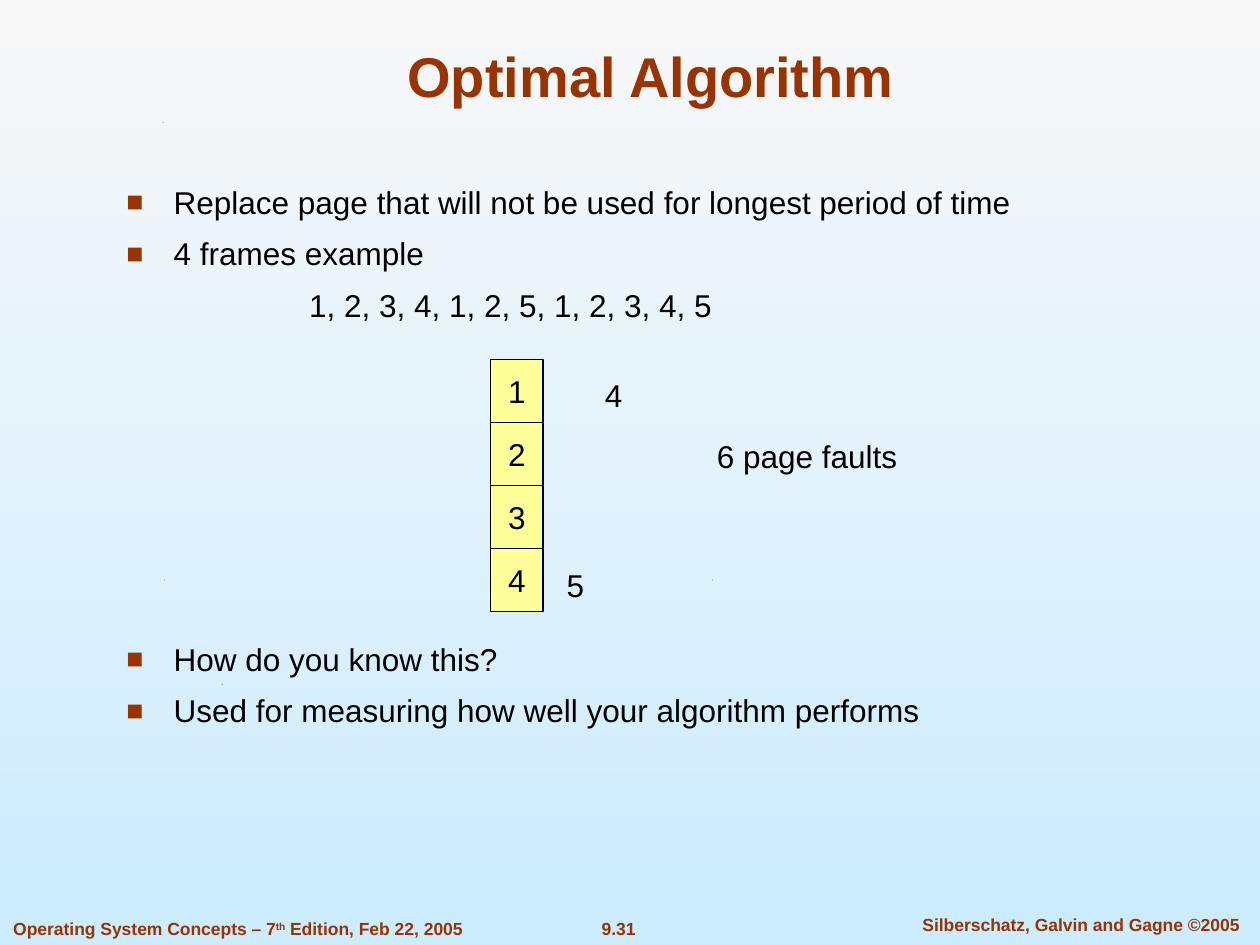
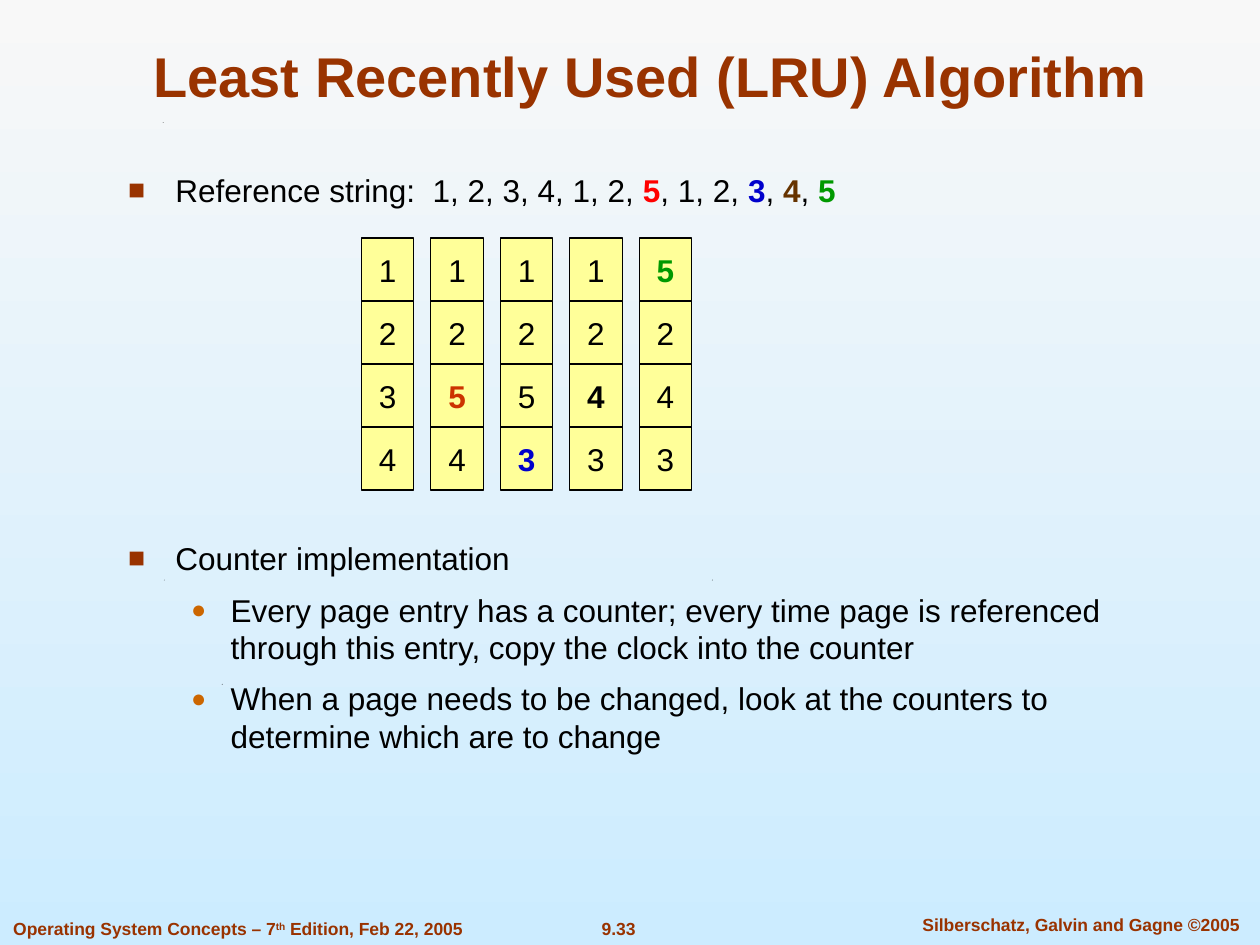
import pptx
import pptx.util
import pptx.dml.color
import pptx.enum.shapes
import pptx.enum.text
import pptx.oxml.ns
import lxml.etree

Pt = pptx.util.Pt
ALIGN = pptx.enum.text.PP_ALIGN
ANCHOR = pptx.enum.text.MSO_ANCHOR

# Shared style
FONT = "Arial"
RUST, BLACK, CELL_FILL = "993300", "000000", "FFFF99"
SKY_TOP, SKY_BOTTOM = "F8F8F8", "CCECFF"
BODY_SIZE, LINE_PITCH, PARA_GAP = 18, 21.4, 8
CELL_W, CELL_H, STACK_PITCH = 30, 36, 39.7
SPECKS = [(126.7, 390.8), (93.6, 331.2), (406.8, 331.2), (92.9, 69.8)]

# Paragraph kinds: left margin, first-line indent, bullet (character, colour, size %)
KINDS = {
    "point": (27, -27, ("■", RUST, 90)),
    "subpoint": (58.5, -22.5, ("●", "CC6600", 80)),
    "sequence": (104.4, 0, None),
}

# Content: a run is a string or (text, colour, bold)
FOOTER_LEFT = ["Operating System Concepts – 7", "th", " Edition, Feb 22, 2005"]
FOOTER_RIGHT = "Silberschatz, Galvin and Gagne ©2005"

SLIDES = [
    {
        "title": "Optimal Algorithm",
        "number": "9.31",
        "body_at": (65.2, 101.2),
        # kind, space before, runs
        "body": [
            ("point", 0, ["Replace page that will not be used for longest period of time"]),
            ("point", PARA_GAP, ["4 frames example"]),
            ("sequence", PARA_GAP, ["1, 2, 3, 4, 1, 2, 5, 1, 2, 3, 4, 5"]),
            ("point", 181, ["How do you know this?"]),
            ("point", PARA_GAP, ["Used for measuring how well your algorithm performs"]),
        ],
        "stacks_at": (280.4, 205.4),
        "stacks": [["1", "2", "3", "4"]],
        # text, left, top, width
        "notes": [
            ("4", 338.4, 211.2, 24.5),
            ("6 page faults", 402.5, 246.2, 117.4),
            ("5", 316.5, 319.7, 24.5),
        ],
    },
    {
        "title": "Least Recently Used (LRU) Algorithm",
        "number": "9.33",
        "body_at": (66.2, 94.3),
        "body": [
            ("point", 0, ["Reference string:  1, 2, 3, 4, 1, 2, ", ("5", "FF0000", True),
                          ", 1, 2, ", ("3", "0000CC", True), ", ",
                          ("4", "663300", True), ", ", ("5", "009900", True)]),
            ("point", 189, ["Counter implementation"]),
            ("subpoint", PARA_GAP, ["Every page entry has a counter; every time page is referenced "
                                    "through this entry, copy the clock into the counter"]),
            ("subpoint", PARA_GAP, ["When a page needs to be changed, look at the counters to "
                                    "determine which are to change"]),
        ],
        "stacks_at": (206.5, 136),
        "stacks": [
            ["1", "2", "3", "4"],
            ["1", "2", ("5", "CC3300", True), "4"],
            ["1", "2", "5", ("3", "0000CC", True)],
            ["1", "2", ("4", BLACK, True), "3"],
            [("5", "009900", True), "2", "4", "3"],
        ],
        "notes": [],
    },
]


def rgb(value):
    return pptx.dml.color.RGBColor.from_string(value)


def add_run(p, item, size=BODY_SIZE, color=BLACK, bold=False):
    if isinstance(item, tuple):
        item, color, bold = item
    r = p.add_run()
    r.text = item
    r.font.name, r.font.size, r.font.bold = FONT, Pt(size), bold
    r.font.color.rgb = rgb(color)
    return r


def add_text(s, left, top, width, height, runs=(), align=None,
             anchor=ANCHOR.TOP, wrap=True, **style):
    tf = s.shapes.add_textbox(Pt(left), Pt(top), Pt(width), Pt(height)).text_frame
    tf.word_wrap, tf.vertical_anchor = wrap, anchor
    tf.paragraphs[0].alignment = align
    for item in runs:
        add_run(tf.paragraphs[0], item, **style)
    return tf


def format_paragraph(p, kind, space_before):
    margin, indent, bullet = KINDS[kind]
    pPr = p._p.get_or_add_pPr()
    pPr.set("marL", str(Pt(margin)))
    pPr.set("indent", str(Pt(indent)))
    if bullet:
        char, color, percent = bullet
        qn = pptx.oxml.ns.qn
        color_el = lxml.etree.SubElement(pPr, qn("a:buClr"))
        lxml.etree.SubElement(color_el, qn("a:srgbClr"), val=color)
        lxml.etree.SubElement(pPr, qn("a:buSzPct"), val=str(percent * 1000))
        lxml.etree.SubElement(pPr, qn("a:buFont"), typeface=FONT)
        lxml.etree.SubElement(pPr, qn("a:buChar"), char=char)
    p.line_spacing = Pt(LINE_PITCH)
    p.space_before = Pt(space_before)


def add_frame(s, title, number):
    # Background gradient
    fill = s.background.fill
    fill.gradient()
    fill.gradient_angle = 270
    for stop, color in zip(fill.gradient_stops, (SKY_TOP, SKY_BOTTOM)):
        stop.color.rgb = rgb(color)

    # Small specks
    for x, y in SPECKS:
        builder = s.shapes.build_freeform(Pt(x), Pt(y + 0.5))
        builder.add_line_segments([(Pt(x + 0.6), Pt(y)), (Pt(x + 0.3), Pt(y + 0.5))])
        sp = builder.convert_to_shape()
        sp.shadow.inherit = False
        sp.fill.solid()
        sp.fill.fore_color.rgb = rgb(BLACK)
        sp.line.fill.background()

    # Footers and title
    small = dict(size=10, color=RUST, bold=True)
    tf = add_text(s, 0.5, 521, 310, 19, FOOTER_LEFT, **small)
    tf.paragraphs[0].runs[1]._r.get_or_add_rPr().set("baseline", "30000")
    add_text(s, 318.2, 521, 70.6, 19, [number], ALIGN.CENTER, **small)
    add_text(s, 510.8, 518.8, 213.8, 19, [FOOTER_RIGHT], ALIGN.CENTER, **small)
    add_text(s, 54, 17.6, 635.8, 48.2, [title], ALIGN.CENTER, ANCHOR.BOTTOM,
             size=32, color=RUST, bold=True)


def add_body(s, left, top, paragraphs):
    tf = add_text(s, left, top, 579, 353)
    for i, (kind, space_before, runs) in enumerate(paragraphs):
        p = tf.add_paragraph() if i else tf.paragraphs[0]
        format_paragraph(p, kind, space_before)
        for item in runs:
            add_run(p, item)


def add_stack(s, left, top, pages):
    for row, page in enumerate(pages):
        sp = s.shapes.add_shape(pptx.enum.shapes.MSO_SHAPE.RECTANGLE, Pt(left),
                                Pt(top + row * CELL_H), Pt(CELL_W), Pt(CELL_H))
        sp.shadow.inherit = False
        sp.fill.solid()
        sp.fill.fore_color.rgb = rgb(CELL_FILL)
        sp.line.color.rgb = rgb(BLACK)
        sp.line.width = Pt(0.75)
        tf = sp.text_frame
        tf.word_wrap, tf.vertical_anchor = False, ANCHOR.MIDDLE
        tf.paragraphs[0].alignment = ALIGN.CENTER
        add_run(tf.paragraphs[0], page)


def main():
    prs = pptx.Presentation()
    prs.slide_width, prs.slide_height = Pt(720), Pt(540)
    for content in SLIDES:
        s = prs.slides.add_slide(prs.slide_layouts[6])
        add_frame(s, content["title"], content["number"])
        add_body(s, *content["body_at"], content["body"])
        left, top = content["stacks_at"]
        for i, pages in enumerate(content["stacks"]):
            add_stack(s, left + i * STACK_PITCH, top, pages)
        for text, x, y, width in content["notes"]:
            add_text(s, x, y, width, 28.8, [text], ALIGN.CENTER, ANCHOR.MIDDLE, wrap=False)
    prs.save("out.pptx")


if __name__ == "__main__":
    main()
